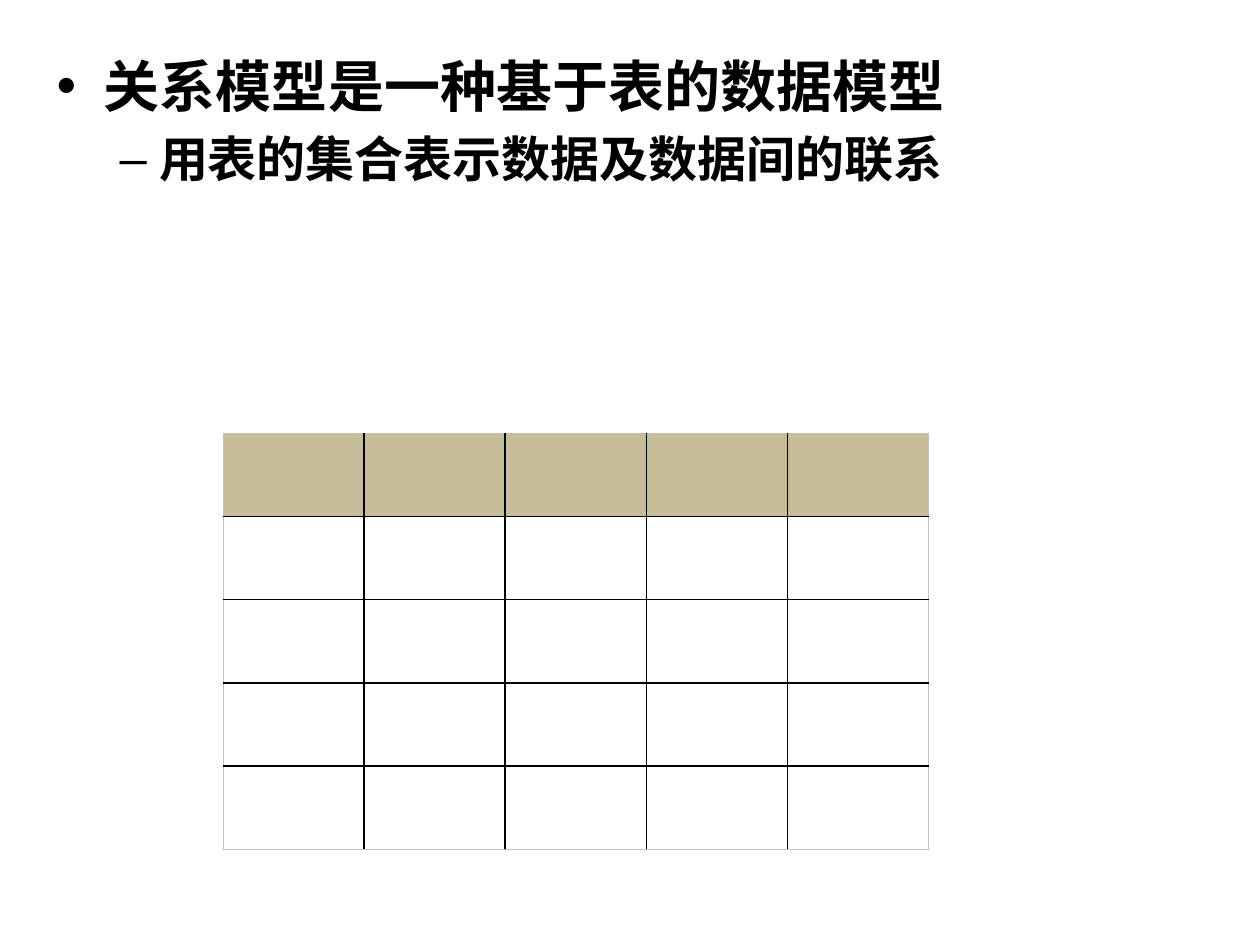
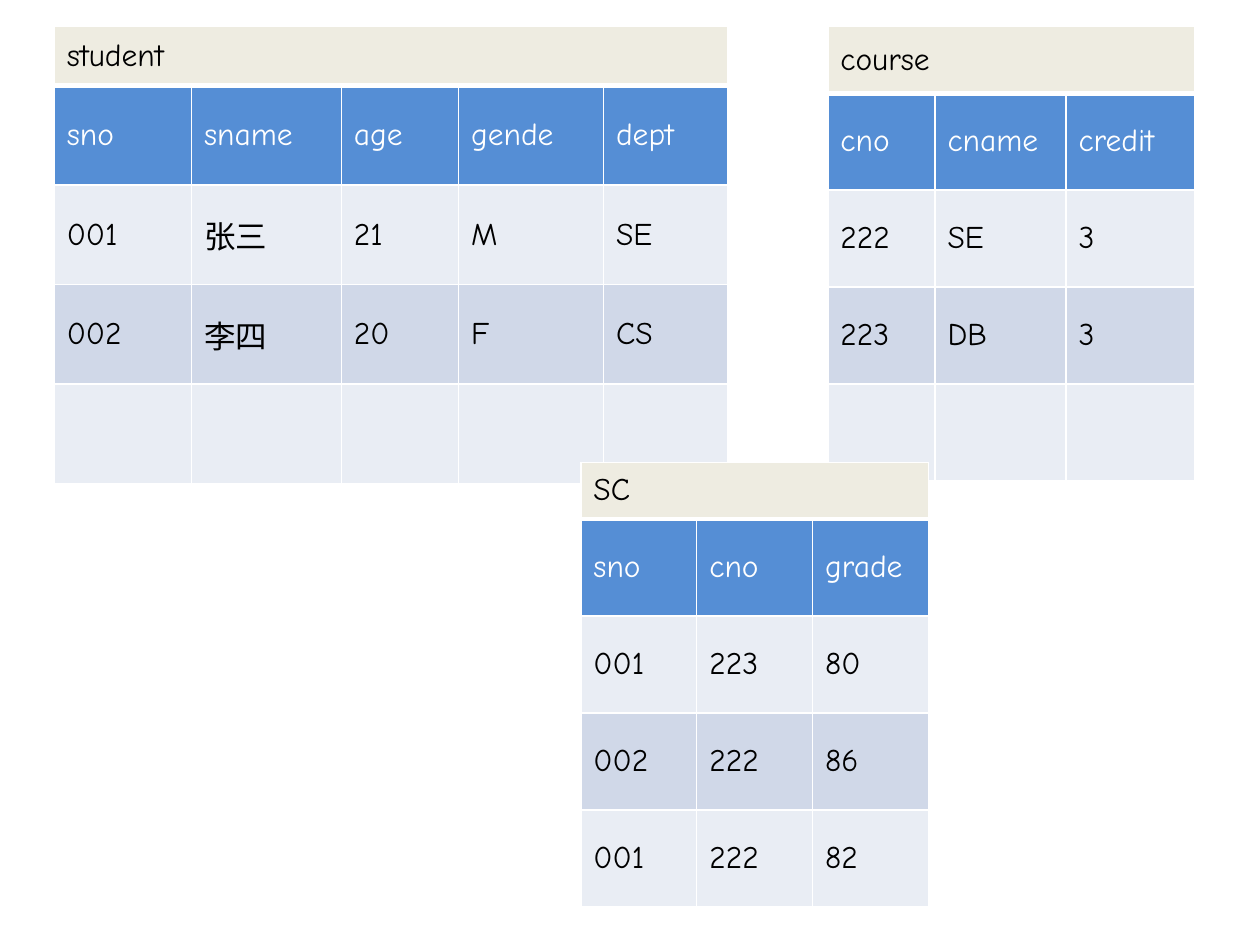
from dataclasses import dataclass

from lxml.etree import SubElement
from pptx import Presentation
from pptx.dml.color import RGBColor
from pptx.enum.text import MSO_ANCHOR, MSO_AUTO_SIZE
from pptx.oxml.ns import qn
from pptx.util import Inches, Pt

# Shared colours and fonts
BLACK = RGBColor(0x00, 0x00, 0x00)
WHITE = RGBColor(0xFF, 0xFF, 0xFF)
GREY = RGBColor(0xC0, 0xC0, 0xC0)
TAN = RGBColor(0xC4, 0xBD, 0x97)
CREAM = RGBColor(0xEE, 0xEC, 0xE1)
BLUE = RGBColor(0x55, 0x8E, 0xD5)
PALE = RGBColor(0xE9, 0xED, 0xF4)
MIST = RGBColor(0xD0, 0xD8, 0xE8)
LATIN = "Comic Neue"
HAN = "Noto Sans CJK SC"
SIDES = ("L", "R", "T", "B")


@dataclass
class Table:
    left: float
    top: float
    cols: list[float]
    rows: list[float]


@dataclass
class Relation(Table):
    name: str
    fields: list[str]
    data: list[list[str]]


RELATIONS = [
    Relation(0.43, 0.21, [1.09, 1.19, 0.93, 1.15, 0.99], [0.47] + [0.79] * 4,
             "student", ["sno", "sname", "age", "gende", "dept"],
             [["001", "张三", "21", "M", "SE"],
              ["002", "李四", "20", "F", "CS"],
              [""] * 5]),
    Relation(6.57, 0.21, [0.85, 1.04, 1.02], [0.53] + [0.77] * 4,
             "course", ["cno", "cname", "credit"],
             [["222", "SE", "3"], ["223", "DB", "3"], [""] * 3]),
    Relation(4.61, 3.67, [0.92] * 3, [0.45] + [0.77] * 4,
             "SC", ["sno", "cno", "grade"],
             [["001", "223", "80"], ["002", "222", "86"], ["001", "222", "82"]]),
]


def write(para, text: str, *, size: float = 18, font: str = LATIN,
          color: RGBColor = BLACK, bold: bool = False) -> None:
    """Add one formatted run to a paragraph."""
    run = para.add_run()
    run.text = text
    run.font.size = Pt(size)
    run.font.bold = bold
    run.font.color.rgb = color
    run.font.name = font
    SubElement(run.font._element, qn("a:ea"), typeface=HAN)


def edge(cell, side: str, color: RGBColor, width: float = 1) -> None:
    """Draw one border of a cell; call before the cell is filled."""
    line = SubElement(cell._tc.get_or_add_tcPr(), qn(f"a:ln{side}"), w=str(Pt(width)))
    fill = SubElement(line, qn("a:solidFill"))
    SubElement(fill, qn("a:srgbClr"), val=str(color))


def paint(cell, color: RGBColor) -> None:
    cell.fill.solid()
    cell.fill.fore_color.rgb = color


def add_grid(slide, spec: Table):
    """Add a plain table with the given column and row sizes."""
    frame = slide.shapes.add_table(
        len(spec.rows), len(spec.cols), Inches(spec.left), Inches(spec.top),
        Inches(sum(spec.cols)), Inches(sum(spec.rows)))
    grid = frame.table
    grid.first_row = grid.horz_banding = False
    for col, width in zip(grid.columns, spec.cols):
        col.width = Inches(width)
    for row, height in zip(grid.rows, spec.rows):
        row.height = Inches(height)
    return grid


def add_blank(slide, spec: Table) -> None:
    """Empty table with a tan head, black inner lines and a grey rim."""
    grid = add_grid(slide, spec)
    last_row, last_col = len(spec.rows) - 1, len(spec.cols) - 1
    for r in range(last_row + 1):
        for c in range(last_col + 1):
            cell = grid.cell(r, c)
            rim = (c == 0, c == last_col, r == 0, r == last_row)
            for side, outer in zip(SIDES, rim):
                edge(cell, side, GREY if outer else BLACK, 0.5 if outer else 1)
            if r == 0:
                paint(cell, TAN)
            else:
                cell.fill.background()


def add_relation(slide, rel: Relation) -> None:
    """Named table: a merged name band, a field row and striped data."""
    grid = add_grid(slide, rel)
    grid.cell(0, 0).merge(grid.cell(0, len(rel.cols) - 1))
    band = [rel.name] + [""] * (len(rel.cols) - 1)
    fills = [CREAM, BLUE, PALE, MIST, PALE]
    for r, (texts, fill) in enumerate(zip([band, rel.fields, *rel.data], fills)):
        for c, text in enumerate(texts):
            cell = grid.cell(r, c)
            for side in SIDES:
                edge(cell, side, WHITE, 3 if r == 0 and side == "B" else 1)
            paint(cell, fill)
            cell.vertical_anchor = MSO_ANCHOR.MIDDLE
            if text:
                write(cell.text_frame.paragraphs[0], text,
                      color=WHITE if r == 1 else BLACK)


def add_model(deck) -> None:
    """Slide 1: the relational model."""
    slide = deck.slides.add_slide(deck.slide_layouts[1])
    title = slide.shapes.title._element
    title.getparent().remove(title)

    # Bullet list
    body = slide.placeholders[1]
    body.left, body.top = Inches(0.35), Inches(0.36)
    body.width, body.height = Inches(9.45), Inches(6.77)
    text = body.text_frame
    text.auto_size = MSO_AUTO_SIZE.NONE
    write(text.paragraphs[0], "关系模型是一种基于表的数据模型",
          size=32, font=HAN, bold=True)
    para = text.add_paragraph()
    para.level = 1
    write(para, "用表的集合表示数据及数据间的联系", size=28, font=HAN, bold=True)

    # Empty table
    add_blank(slide, Table(1.77, 3.44, [1.12] * 5, [0.66] * 5))


def add_sample(deck) -> None:
    """Slide 2: sample relations."""
    slide = deck.slides.add_slide(deck.slide_layouts[6])
    for rel in RELATIONS:
        add_relation(slide, rel)


def main() -> None:
    deck = Presentation()
    deck.slide_width, deck.slide_height = Inches(10), Inches(7.5)
    add_model(deck)
    add_sample(deck)
    deck.save("out.pptx")


if __name__ == "__main__":
    main()
